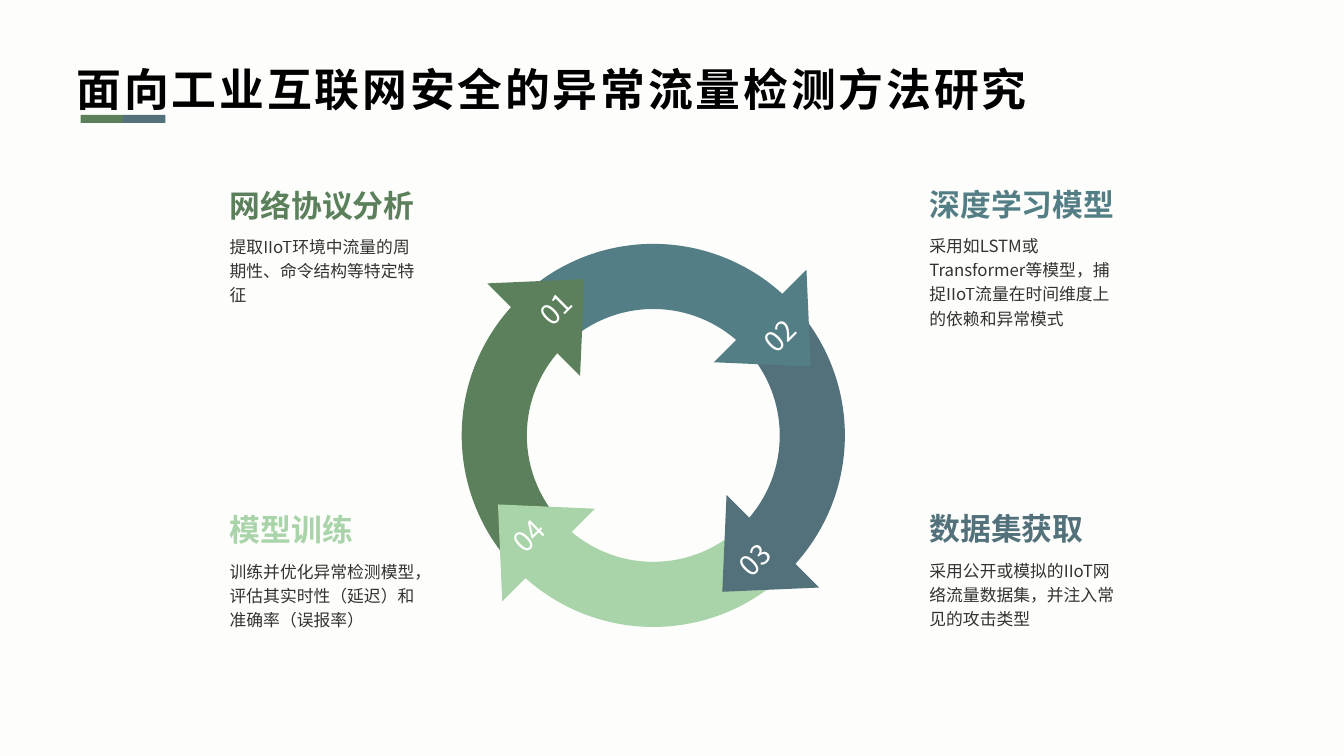
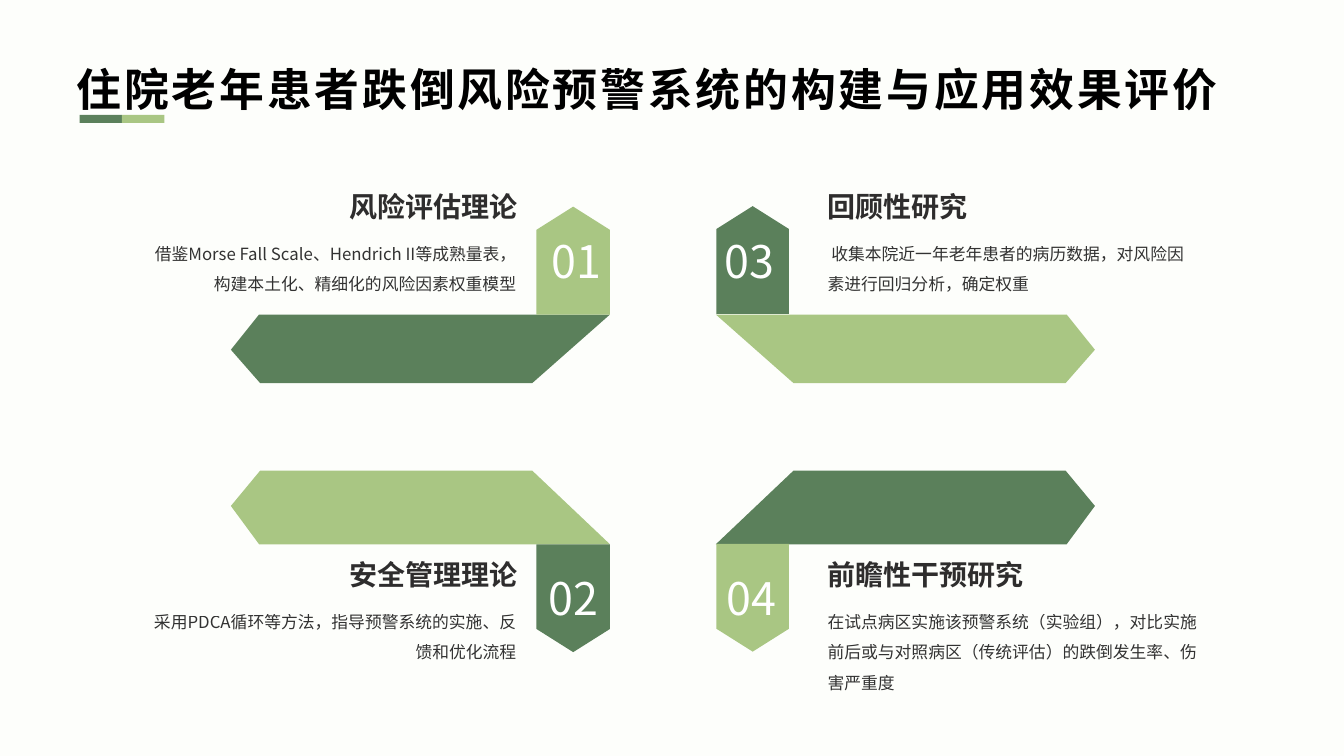
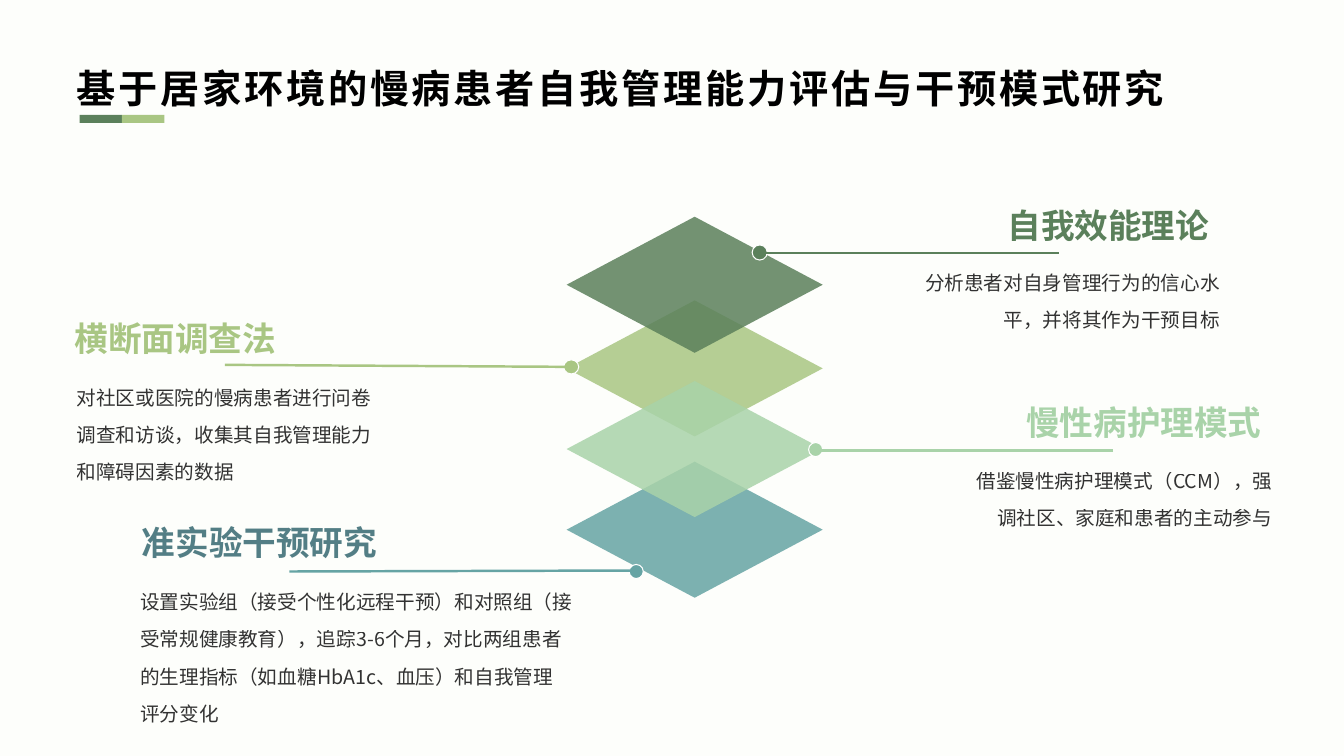
from dataclasses import dataclass, replace

from lxml.etree import SubElement
from pptx import Presentation
from pptx.dml.color import RGBColor
from pptx.enum.shapes import MSO_CONNECTOR, MSO_SHAPE as SHAPE
from pptx.enum.text import MSO_ANCHOR as ANCHOR, MSO_AUTO_SIZE as AUTO, PP_ALIGN as ALIGN
from pptx.oxml.ns import qn
from pptx.util import Emu, Pt

EMU_PER_PX = 9144  # 100 px to the inch
FONT = "Noto Sans CJK SC"
COLORS = {
    "paper": "FDFEFB", "black": "000000", "ink": "2E2D2D",
    "white": "FFFFFF", "green": "5B805B", "lime": "A9C683", "mint": "A9D3A9",
    "slate": "52717B", "teal": "537E85", "aqua": "66A4A4",
}
Box = tuple[int, int, int, int]
Point = tuple[int, int]


@dataclass(frozen=True)
class TextStyle:
    size: int
    color: str = "black"
    bold: bool = False
    alpha: int = 100
    leading: float = 1.0
    tracking: int = 0
    insets: Box = (10, 5, 10, 5)
    anchor: ANCHOR = ANCHOR.TOP
    auto_size: AUTO = AUTO.SHAPE_TO_FIT_TEXT


TITLE = TextStyle(32, bold=True, leading=1.2, tracking=200, anchor=ANCHOR.MIDDLE)
BODY = TextStyle(12, alpha=80, leading=1.2)


# Shared drawing helpers
def px(n: float) -> Emu:
    return Emu(round(n * EMU_PER_PX))


def rgb(name: str) -> RGBColor:
    return RGBColor.from_string(COLORS[name])


def set_alpha(sp, percent: int) -> None:
    if percent < 100:
        for clr in sp.element.iter(qn("a:srgbClr")):
            SubElement(clr, qn("a:alpha"), val=str(percent * 1000))


def write_text(sp, text: str, style: TextStyle, align=ALIGN.LEFT) -> None:
    tf = sp.text_frame
    tf.word_wrap = True
    tf.auto_size = style.auto_size
    tf.vertical_anchor = style.anchor
    tf.margin_left, tf.margin_top, tf.margin_right, tf.margin_bottom = map(px, style.insets)
    p = tf.paragraphs[0]
    p.alignment = align
    p.line_spacing = style.leading
    r = p.add_run()
    r.text = text
    r.font.size = Pt(style.size)
    r.font.bold = style.bold
    r.font.color.rgb = rgb(style.color)
    r.font.name = FONT
    for props in sp.element.iter(qn("a:rPr")):
        SubElement(props, qn("a:ea"), typeface=FONT)
        if style.tracking:
            props.set("spc", str(style.tracking))


def add_text(s, box: Box, text: str, style: TextStyle, align=ALIGN.LEFT) -> None:
    sp = s.shapes.add_textbox(*map(px, box))
    write_text(sp, text, style, align)
    set_alpha(sp, style.alpha)


def paint(sp, color: str, alpha: int = 100) -> None:
    sp.shadow.inherit = False
    sp.fill.solid()
    sp.fill.fore_color.rgb = rgb(color)
    sp.line.fill.background()
    set_alpha(sp, alpha)


def add_preset(s, kind: SHAPE, box: Box, color: str, alpha: int = 100):
    sp = s.shapes.add_shape(kind, *map(px, box))
    paint(sp, color, alpha)
    return sp


def add_outline(s, points: list[Point], color: str):
    builder = s.shapes.build_freeform(*points[0], scale=EMU_PER_PX)
    builder.add_line_segments(points[1:], close=True)
    sp = builder.convert_to_shape()
    paint(sp, color)
    return sp


def add_line(s, start: Point, end: Point, color: str) -> None:
    cxn = s.shapes.add_connector(MSO_CONNECTOR.STRAIGHT, *map(px, start + end))
    cxn.line.color.rgb = rgb(color)
    cxn.line.width = Pt(1.75)
    SubElement(cxn.element.spPr, qn("a:effectLst"))


def add_titled_slide(prs, title: str, accent: str, left: int = 79,
                     box: Box = (66, 45, 1202, 75), style: TextStyle = TITLE):
    s = prs.slides.add_slide(prs.slide_layouts[6])
    for i, color in enumerate(("green", accent)):
        add_preset(s, SHAPE.RECTANGLE, (left + 42 * i, 114, 42, 8), color)
    add_text(s, box, title, style)
    return s


# Slide 1: ring of four arrows
@dataclass(frozen=True)
class RingStep:
    number: str
    color: str
    start_angle: int
    head: Box
    tip: str
    align: ALIGN
    text_at: Point
    body_height: int
    heading: str
    body: str


RING_STEPS = [
    RingStep("01", "green", 135, (519, 237, 71, 130), "right", ALIGN.CENTER, (218, 185), 82,
             "网络协议分析", "提取IIoT环境中流量的周期性、命令结构等特定特征"),
    RingStep("02", "teal", 225, (714, 303, 130, 71), "bottom", ALIGN.CENTER, (912, 184), 107,
             "深度学习模型", "采用如LSTM或Transformer等模型，捕捉IIoT流量在时间维度上的依赖和异常模式"),
    RingStep("03", "slate", 315, (706, 497, 71, 130), "left", ALIGN.RIGHT, (912, 506), 82,
             "数据集获取", "采用公开或模拟的IIoT网络流量数据集，并注入常见的攻击类型"),
    RingStep("04", "mint", 45, (454, 490, 130, 71), "top", ALIGN.CENTER, (218, 507), 82,
             "模型训练", "训练并优化异常检测模型，评估其实时性（延迟）和准确率（误报率）"),
]
RING_BOX = (458, 242, 380, 380)
RING_BAND = 0.17


def add_ring_band(s, step: RingStep) -> None:
    sp = add_preset(s, SHAPE.BLOCK_ARC, RING_BOX, step.color)
    # Angles are stored in 60000ths of a degree, adjustments in 100000ths
    sp.adjustments[0] = step.start_angle * 0.6
    sp.adjustments[1] = (step.start_angle + 90) % 360 * 0.6
    sp.adjustments[2] = RING_BAND


def add_arrow_head(s, step: RingStep) -> None:
    x, y, w, h = step.head
    corners = [(x, y), (x + w, y), (x + w, y + h), (x, y + h)]
    sides = ["left", "top", "right", "bottom"]
    i = sides.index(step.tip)
    tip = [(x, y + h // 2), (x + w // 2, y), (x + w, y + h // 2), (x + w // 2, y + h)][i]
    sp = add_outline(s, [tip, corners[(i + 1) % 4], corners[(i + 2) % 4]], step.color)
    sp.rotation = 315
    insets = [10, 5, 10, 5]
    insets[i] = 20
    write_text(sp, step.number, TextStyle(20, "white", insets=tuple(insets),
               anchor=ANCHOR.MIDDLE, auto_size=AUTO.NONE), step.align)


def build_ring_slide(prs) -> None:
    s = add_titled_slide(prs, "面向工业互联网安全的异常流量检测方法研究", "slate", left=80)
    for step in RING_STEPS:
        add_ring_band(s, step)
    for step in RING_STEPS:
        add_arrow_head(s, step)
        x, y = step.text_at
        heading = TextStyle(22, step.color, bold=True, insets=(0, 0, 0, 0))
        add_text(s, (x + 10, y, 184, 37), step.heading, heading)
        add_text(s, (x, y + 41, 204, step.body_height), step.body, BODY)


# Slide 2: four folded ribbons, mirrored left to right
@dataclass(frozen=True)
class Ribbon:
    number: str
    is_right: bool
    is_lower: bool
    ribbon_color: str
    plate_color: str
    number_box: Box
    body_height: int
    heading: str
    body: str


RIBBONS = [
    Ribbon("01", False, False, "green", "lime", (523, 227, 97, 64), 71, "风险评估理论",
           "借鉴Morse Fall Scale、Hendrich II等成熟量表，构建本土化、精细化的风险因素权重模型"),
    Ribbon("02", False, True, "lime", "green", (520, 561, 97, 64), 71, "安全管理理论",
           "采用PDCA循环等方法，指导预警系统的实施、反馈和优化流程"),
    Ribbon("03", True, False, "lime", "green", (695, 227, 97, 64), 71, "回顾性研究",
           " 收集本院近一年老年患者的病历数据，对风险因素进行回归分析，确定权重"),
    Ribbon("04", True, True, "green", "lime", (708, 561, 74, 64), 101, "前瞻性干预研究",
           "在试点病区实施该预警系统（实验组），对比实施前后或与对照病区（传统评估）的跌倒发生率、伤害严重度"),
]
MIRROR_SUM = 1315


def add_ribbon(s, rb: Ribbon) -> None:
    fold, point, edge = (540, 502, 467) if rb.is_lower else (312, 347, 380)
    points = [(605, fold), (257, fold), (229, point), (258, edge), (528, edge)]
    if rb.is_right:
        points = [(MIRROR_SUM - x, y) for x, y in points]
    add_outline(s, points, rb.ribbon_color)

    # Number plate, pointing away from the ribbon
    left, thick = (693, 72) if rb.is_right else (515, 73)
    top = 557 if rb.is_lower else 222
    plate = add_preset(s, SHAPE.PENTAGON, (left, top, 107, thick), rb.plate_color)
    plate.adjustments[0] = 0.315
    plate.rotation = 90 if rb.is_lower else 270
    add_text(s, rb.number_box, rb.number, TextStyle(32, "white"), ALIGN.CENTER)

    # Heading and body
    align = ALIGN.LEFT if rb.is_right else ALIGN.RIGHT
    x, heading_x, heading_w = (811, 811, 388) if rb.is_right else (132, 128, 395)
    y = 548 if rb.is_lower else 183
    add_text(s, (heading_x, y, heading_w, 43), rb.heading,
             TextStyle(20, "ink", bold=True), align)
    add_text(s, (x, y + 44, 390, rb.body_height), rb.body,
             replace(BODY, leading=1.5), align)


def build_ribbon_slide(prs) -> None:
    s = add_titled_slide(prs, "住院老年患者跌倒风险预警系统的构建与应用效果评价", "lime")
    for rb in RIBBONS:
        add_ribbon(s, rb)


# Slide 3: stacked diamonds with callouts
@dataclass(frozen=True)
class Layer:
    color: str
    diamond_top: int
    dot: Box
    line_start: Point
    line_end: Point
    align: ALIGN
    heading_color: str
    heading_box: Box
    heading: str
    body_box: Box
    body: str


LAYERS = [  # back to front
    Layer("aqua", 458, (624, 560, 14, 14), (629, 566), (287, 567), ALIGN.LEFT,
          "teal", (131, 513, 273, 50), "准实验干预研究", (132, 568, 443, 156),
          "设置实验组（接受个性化远程干预）和对照组（接受常规健康教育），追踪3-6个月，"
          "对比两组患者的生理指标（如血糖HbA1c、血压）和自我管理评分变化"),
    Layer("lime", 298, (559, 357, 15, 14), (571, 364), (223, 362), ALIGN.LEFT,
          "lime", (64, 310, 246, 50), "横断面调查法", (69, 365, 310, 119),
          "对社区或医院的慢病患者进行问卷调查和访谈，收集其自我管理能力和障碍因素的数据"),
    Layer("green", 215, (746, 243, 15, 15), (1050, 251), (756, 251), ALIGN.RIGHT,
          "green", (980, 198, 229, 50), "自我效能理论", (900, 251, 317, 82),
          "分析患者对自身管理行为的信心水平，并将其作为干预目标"),
    Layer("mint", 378, (802, 439, 14, 14), (1104, 447), (810, 447), ALIGN.RIGHT,
          "mint", (990, 394, 271, 50), "慢性病护理模式", (946, 448, 323, 82),
          "借鉴慢性病护理模式（CCM），强调社区、家庭和患者的主动参与"),
]


def add_callout(s, layer: Layer) -> None:
    dot = add_preset(s, SHAPE.OVAL, layer.dot, layer.color)
    dot.line.color.rgb = rgb("white")
    dot.line.width = Pt(0.75)
    add_line(s, layer.line_start, layer.line_end, layer.color)
    add_text(s, layer.heading_box, layer.heading,
             TextStyle(24, layer.heading_color, bold=True), layer.align)
    body = replace(BODY, size=14, leading=1.58, insets=(7, 4, 7, 4))
    add_text(s, layer.body_box, layer.body, body, layer.align)


def build_layer_slide(prs) -> None:
    s = add_titled_slide(prs, "基于居家环境的慢病患者自我管理能力评估与干预模式研究", "lime",
                         box=(66, 49, 1202, 66), style=replace(TITLE, size=28))
    for layer in LAYERS:
        add_preset(s, SHAPE.DIAMOND, (562, layer.diamond_top, 254, 135), layer.color, alpha=85)
    for layer in LAYERS:
        add_callout(s, layer)


def main() -> None:
    prs = Presentation()
    prs.slide_width, prs.slide_height = px(1333), px(750)
    background = prs.slide_master.background.fill
    background.solid()
    background.fore_color.rgb = rgb("paper")
    build_ring_slide(prs)
    build_ribbon_slide(prs)
    build_layer_slide(prs)
    prs.save("out.pptx")


if __name__ == "__main__":
    main()
